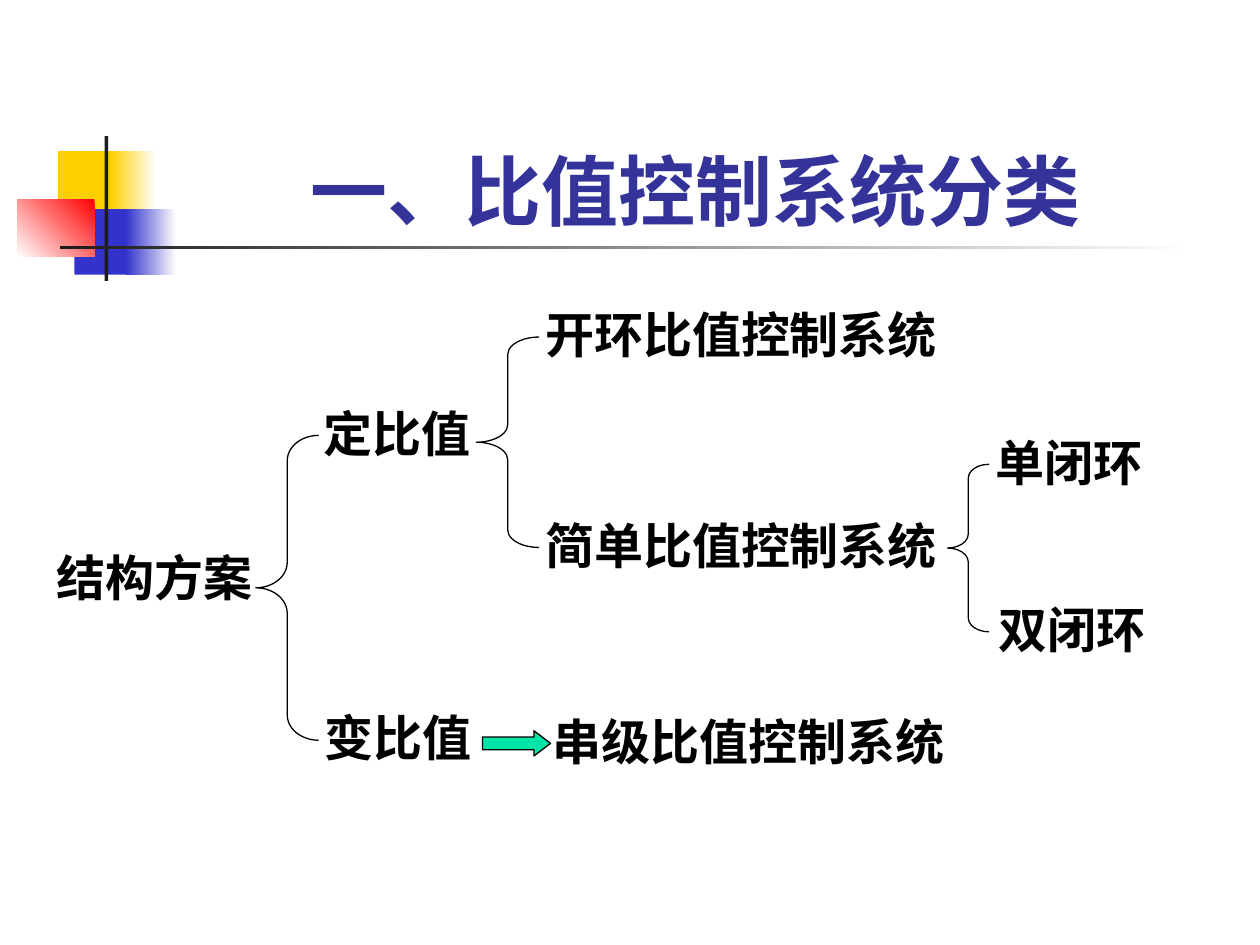
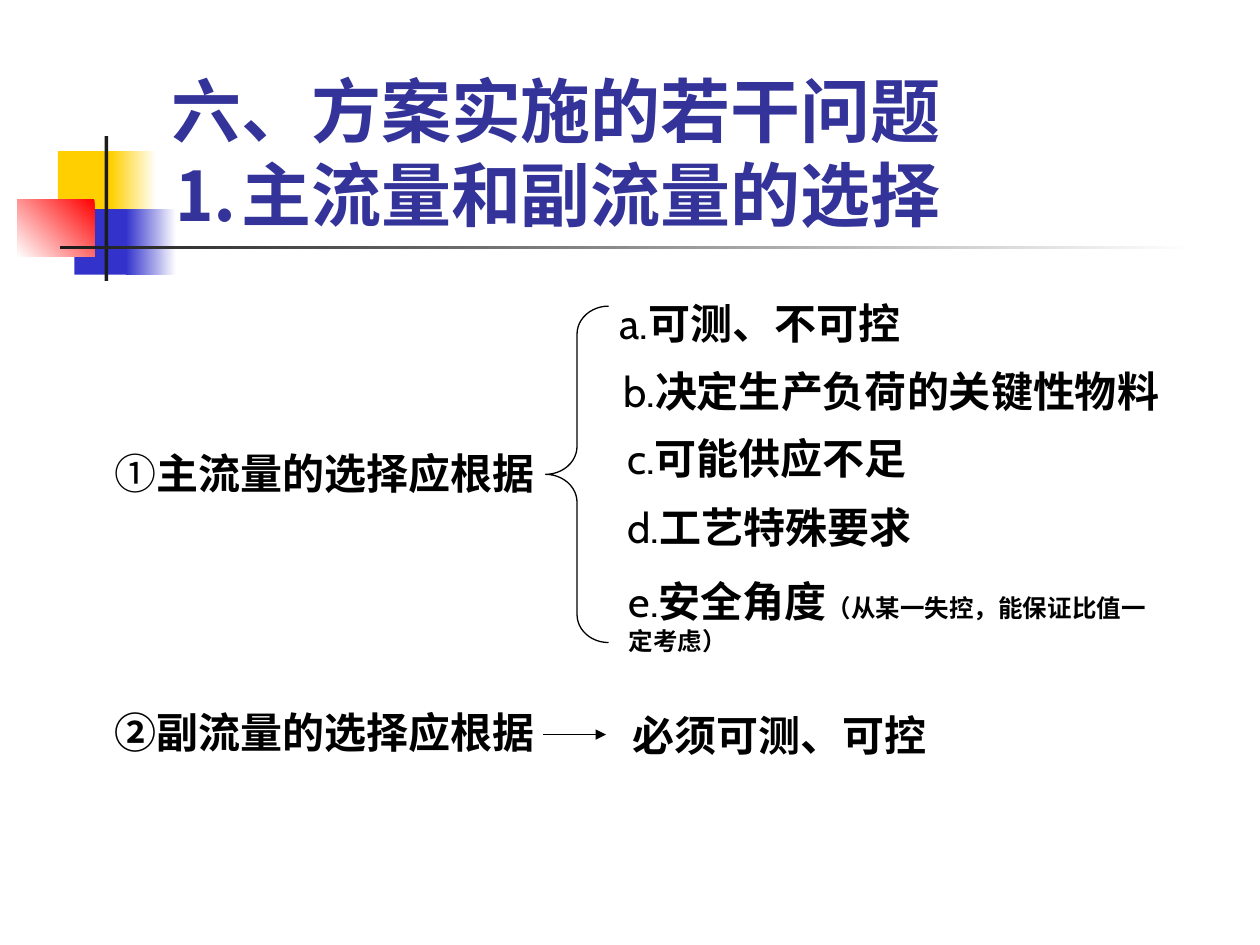
from dataclasses import dataclass

from lxml import etree
from pptx import Presentation
from pptx.dml.color import RGBColor
from pptx.enum.shapes import MSO_CONNECTOR, MSO_SHAPE
from pptx.enum.text import MSO_ANCHOR, MSO_AUTO_SIZE, PP_ALIGN
from pptx.oxml.ns import qn
from pptx.util import Inches, Pt

RECT, BRACE, ARROW = MSO_SHAPE.RECTANGLE, MSO_SHAPE.LEFT_BRACE, MSO_SHAPE.RIGHT_ARROW
LEFT, CENTER = PP_ALIGN.LEFT, PP_ALIGN.CENTER
STRAIGHT = MSO_CONNECTOR.STRAIGHT
BOTTOM = MSO_ANCHOR.BOTTOM
FIT_SHAPE, NO_FIT = MSO_AUTO_SIZE.SHAPE_TO_FIT_TEXT, MSO_AUTO_SIZE.NONE


@dataclass(frozen=True)
class Theme:
    font: str = "Cabin"
    lang: str = "zh-CN"
    title: str = "333399"
    text: str = "000000"
    yellow: str = "FFCF01"
    blue: str = "3333CC"
    red: str = "FF0000"
    dark: str = "1C1C1C"
    white: str = "FFFFFF"
    green: str = "00E4A8"
    line_pt: float = 0.75
    title_pt: int = 44
    long_title_pt: int = 40
    tree_pt: int = 28
    list_pt: int = 24
    note_pt: int = 14


T = Theme()
SLIDE_W, SLIDE_H = 10, 7.5
TITLE_BOX = (1.26, 0.67, 8.52, 1.25)

# Shared ornament: box, gradient colours (or one solid colour), angle
ORNAMENT = [
    ((0.46, 1.2, 0.48, 0.52), (T.yellow,), 0),
    ((0.88, 1.2, 0.36, 0.52), (T.white, T.yellow), 180),
    ((0.59, 1.66, 0.46, 0.52), (T.blue,), 0),
    ((1, 1.66, 0.4, 0.52), (T.white, T.blue), 180),
    ((0.14, 1.58, 0.61, 0.46), (T.red, T.white), 225),
    ((0.83, 1.08, 0.03, 1.15), (T.dark,), 0),
    ((0.48, 1.95, 9, 0.03), (T.white, T.dark), 180),
]

# Slide 1: label -> left, top, width
TREE_TITLE = "一、比值控制系统分类"
TREE_H = 0.57
TREE = {
    "结构方案": (0.35, 4.3, 1.83),
    "定比值": (2.47, 3.15, 1.43),
    "变比值": (2.48, 5.57, 1.5),
    "开环比值控制系统": (4.23, 2.37, 3.42),
    "简单比值控制系统": (4.23, 4.04, 3.42),
    "单闭环": (7.8, 3.38, 1.58),
    "双闭环": (7.83, 4.71, 1.67),
    "串级比值控制系统": (4.29, 5.6, 3.33),
}
# Brace left, width, and the two branches it spans
BRANCHES = [
    (2.03, 0.5, "定比值", "变比值"),
    (3.78, 0.5, "开环比值控制系统", "简单比值控制系统"),
    (7.52, 0.33, "单闭环", "双闭环"),
]
CASCADE_ARROW = (3.83, 5.8, 0.54, 0.2)

# Slide 2: box, runs of (text, bold, size)
FLOW_TITLE = "六、方案实施的若干问题\v⒈主流量和副流量的选择"
LIST_H = 0.5
BIG = T.list_pt
FLOW = [
    ((0.81, 3.5, 3.58, LIST_H), [("①", False, BIG), ("主流量的选择应根据", True, BIG)]),
    ((4.82, 2.31, 3.25, LIST_H), [("a.", False, BIG), ("可测、不可控", True, BIG)]),
    ((4.85, 2.85, 4.58, LIST_H), [("b.", False, BIG), ("决定生产负荷的关键性物料", True, BIG)]),
    ((4.88, 3.38, 3.25, LIST_H), [("c.", False, BIG), ("可能供应不足", True, BIG)]),
    ((4.88, 3.93, 3.25, LIST_H), [("d.", False, BIG), ("工艺特殊要求", True, BIG)]),
    ((4.89, 4.52, 4.42, 0.74), [("e.", False, BIG), ("安全角度", True, BIG),
                                ("（从某一失控，能保证比值一定考虑）", True, T.note_pt)]),
    ((0.81, 5.56, 3.58, LIST_H), [("②副流量的选择应根据", True, BIG)]),
    ((4.92, 5.58, 2.92, LIST_H), [("必须可测、可控", True, BIG)]),
]
CRITERIA_BRACE = (4.33, 2.43, 0.5, 2.67)
RESULT_ARROW = ((4.31, 5.83), (4.81, 5.83))


def rgb(color):
    return RGBColor.from_string(color)


def inches(box):
    return [Inches(v) for v in box]


def style(font, color, size, bold):
    font.name, font.size, font.bold = T.font, Pt(size), bold
    font.color.rgb = rgb(color)
    font._element.set("lang", T.lang)
    etree.SubElement(font._element, qn("a:ea"), typeface=T.font)


def draw_line(line, color):
    line.color.rgb = rgb(color)
    line.width = Pt(T.line_pt)


def add_shape(s, kind, box, fill=(), angle=0, line=None):
    sp = s.shapes.add_shape(kind, *inches(box))
    sp.shadow.inherit = False
    if len(fill) == 2:
        sp.fill.gradient()
        sp.fill.gradient_angle = angle
        for stop, color in zip(sp.fill.gradient_stops, fill):
            stop.color.rgb = rgb(color)
    elif fill:
        sp.fill.solid()
        sp.fill.fore_color.rgb = rgb(fill[0])
    else:
        sp.fill.background()
    if line:
        draw_line(sp.line, line)
    else:
        sp.line.fill.background()
    return sp


def add_brace(s, box):
    sp = add_shape(s, BRACE, box, line=T.text)
    sp.adjustments[0] = box[3] / box[2] / 12  # curl is a twelfth of the height


def add_label(s, box, runs):
    tf = s.shapes.add_textbox(*inches(box)).text_frame
    tf.word_wrap = True
    tf.auto_size = FIT_SHAPE
    p = tf.paragraphs[0]
    for text, bold, size in runs:
        r = p.add_run()
        r.text = text
        style(p.font if len(runs) == 1 else r.font, T.text, size, bold)


def add_arrow(s, start, end):
    cxn = s.shapes.add_connector(STRAIGHT, *inches(start + end))
    draw_line(cxn.line, T.text)
    etree.SubElement(cxn.line._get_or_add_ln(), qn("a:tailEnd"), type="triangle")
    etree.SubElement(cxn._element.spPr, qn("a:effectLst"))


def prepare_layout(layout, s):
    """Place the title and move the ornament behind it, once for all slides."""
    title = layout.placeholders[0]
    title.left, title.top, title.width, title.height = inches(TITLE_BOX)
    for i, (box, fill, angle) in enumerate(ORNAMENT):
        el = add_shape(s, RECT, box, fill, angle)._element
        el.nvSpPr.cNvPr.id = 100 + i
        layout.shapes._spTree.insert(2 + i, el)


def set_title(s, text, size, align):
    tf = s.shapes.title.text_frame
    tf.vertical_anchor = BOTTOM
    tf.auto_size = NO_FIT
    p = tf.paragraphs[0]
    p.text = text
    p.alignment = align
    style(p.font, T.title, size, True)


def build_tree(s):
    set_title(s, TREE_TITLE, T.title_pt, CENTER)
    for text, (x, y, w) in TREE.items():
        add_label(s, (x, y, w, TREE_H), [(text, True, T.tree_pt)])
    for x, w, first, last in BRANCHES:
        top, bottom = (TREE[name][1] + TREE_H / 2 + 0.02 for name in (first, last))
        add_brace(s, (x, top, w, bottom - top))
    arrow = add_shape(s, ARROW, CASCADE_ARROW, (T.green,), line=T.text)
    arrow.adjustments[1] = 0.66


def build_flow(s):
    set_title(s, FLOW_TITLE, T.long_title_pt, LEFT)
    for box, runs in FLOW:
        add_label(s, box, runs)
    add_brace(s, CRITERIA_BRACE)
    add_arrow(s, *RESULT_ARROW)


def main():
    prs = Presentation()
    prs.slide_width, prs.slide_height = Inches(SLIDE_W), Inches(SLIDE_H)
    layout = prs.slide_layouts[5]  # title only
    tree, flow = (prs.slides.add_slide(layout) for _ in range(2))
    prepare_layout(layout, tree)
    build_tree(tree)
    build_flow(flow)
    prs.save("out.pptx")


if __name__ == "__main__":
    main()
